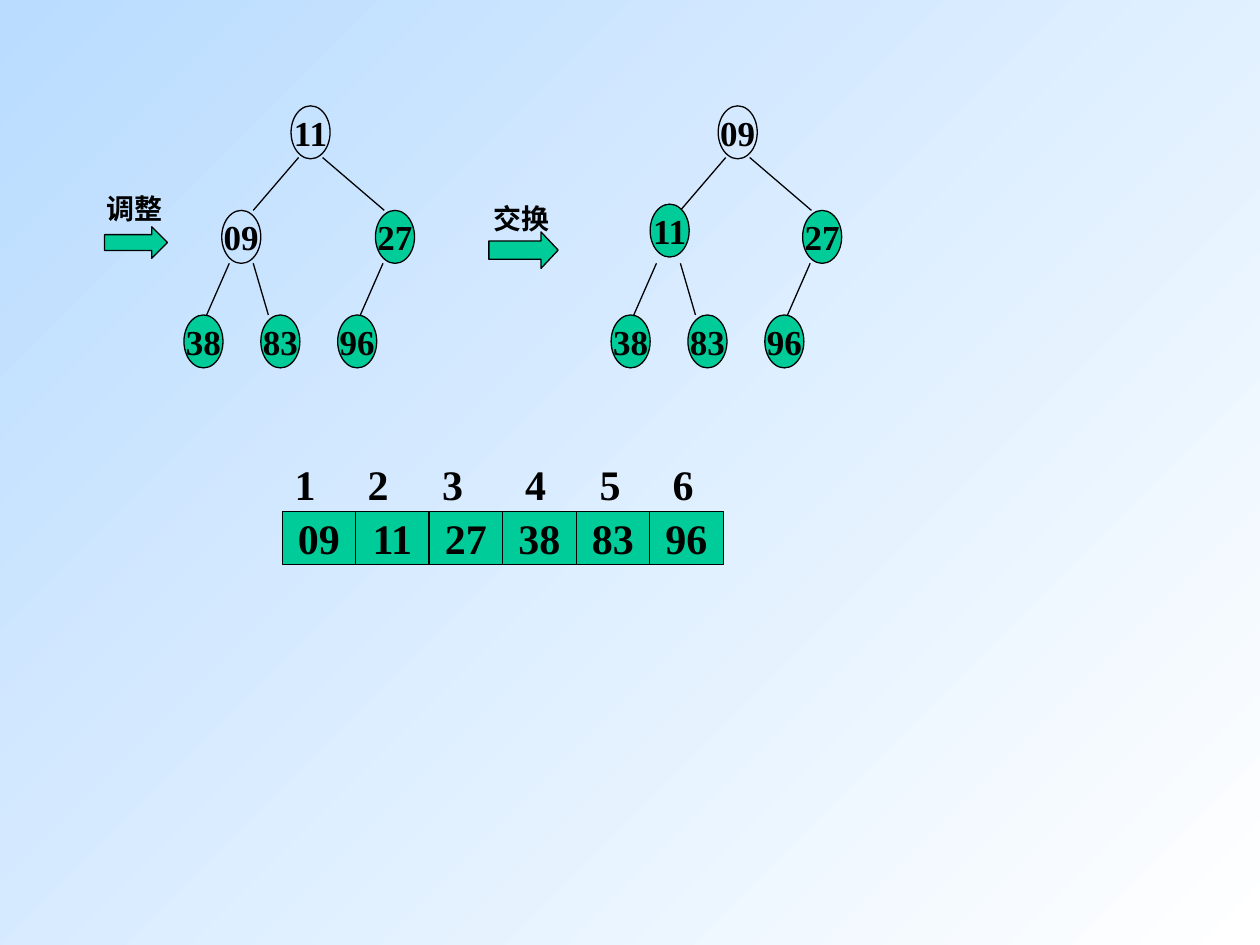
from dataclasses import dataclass
from typing import Any

from lxml import etree
from pptx import Presentation
from pptx.dml.color import RGBColor
from pptx.enum.shapes import MSO_CONNECTOR, MSO_SHAPE
from pptx.enum.text import MSO_ANCHOR, PP_ALIGN
from pptx.oxml.ns import qn
from pptx.util import Inches, Pt

OVAL, RECTANGLE, ARROW = MSO_SHAPE.OVAL, MSO_SHAPE.RECTANGLE, MSO_SHAPE.RIGHT_ARROW
STRAIGHT = MSO_CONNECTOR.STRAIGHT
MIDDLE, CENTER = MSO_ANCHOR.MIDDLE, PP_ALIGN.CENTER

BLACK = RGBColor(0x00, 0x00, 0x00)
GREEN = RGBColor(0x00, 0xCC, 0x99)
SKY = RGBColor(0xB9, 0xDC, 0xFF)
WHITE = RGBColor(0xFF, 0xFF, 0xFF)

NODE_PLACES = [(2.31, 0.84), (1.76, 1.67), (2.98, 1.67), (1.46, 2.5), (2.07, 2.5), (2.68, 2.5)]
EDGES = [
    (2.37, 1.25, 2.01, 1.67),
    (2.56, 1.25, 3.05, 1.67),
    (1.82, 2.09, 1.64, 2.5),
    (2.01, 2.09, 2.13, 2.5),
    (3.04, 2.09, 2.86, 2.5),
]
TREE_GAP = 3.39
CELL_LEFT, ARRAY_WIDTH = 2.24, 3.5
INDEX_TABS = [0.58, 1.17, 1.83, 2.42, 3.0]


@dataclass
class HeapSlide:
    """Style and drawing methods for the heap sort slide."""

    page: Any
    serif: str = "Times New Roman"
    sans: str = "Arial"
    line_width: float = 0.75

    def background(self):
        fill = self.page.background.fill
        fill.gradient()
        fill.gradient_angle = 315
        for stop, color, position in zip(fill.gradient_stops, (SKY, WHITE), (0, 1)):
            stop.color.rgb = color
            stop.position = position

    def set_text(self, frame, text, size, font, align=None, tabs=()):
        para = frame.paragraphs[0]
        para.text = text
        if tabs:
            tab_list = etree.SubElement(para._p.get_or_add_pPr(), qn("a:tabLst"))
            for tab in tabs:
                etree.SubElement(tab_list, qn("a:tab"), pos=str(Inches(tab)), algn="l")
        para.alignment = align
        para.font.name = font
        para.font.size = Pt(size)
        para.font.bold = True
        para.font.color.rgb = BLACK

    def shape(self, kind, left, top, width, height, fill=GREEN):
        shape = self.page.shapes.add_shape(
            kind, Inches(left), Inches(top), Inches(width), Inches(height)
        )
        shape.shadow.inherit = False
        if fill is None:
            shape.fill.background()
        else:
            shape.fill.solid()
            shape.fill.fore_color.rgb = fill
        shape.line.color.rgb = BLACK
        shape.line.width = Pt(self.line_width)
        return shape

    def value(self, kind, text, left, top, width, size, fill=GREEN):
        frame = self.shape(kind, left, top, width, 0.42, fill).text_frame
        frame.word_wrap = False
        frame.vertical_anchor = MIDDLE
        self.set_text(frame, text, size, self.serif, CENTER)

    def edge(self, x1, y1, x2, y2):
        line = self.page.shapes.add_connector(
            STRAIGHT, Inches(x1), Inches(y1), Inches(x2), Inches(y2)
        )
        line.line.color.rgb = BLACK
        line.line.width = Pt(self.line_width)
        etree.SubElement(line._element.spPr, qn("a:effectLst"))

    def label(self, text, left, top, width, height, size, font, tabs=()):
        box = self.page.shapes.add_textbox(
            Inches(left), Inches(top), Inches(width), Inches(height)
        )
        box.text_frame.word_wrap = True
        self.set_text(box.text_frame, text, size, font, tabs=tabs)

    def tree(self, values, places, unsorted, shift=0):
        for x1, y1, x2, y2 in EDGES:
            self.edge(x1 + shift, y1, x2 + shift, y2)
        for index, (text, (left, top)) in enumerate(zip(values, places)):
            fill = None if index < unsorted else GREEN
            self.value(OVAL, text, left + shift, top, 0.31, 20, fill)

    def step(self, text, text_place, arrow_place, ratio):
        arrow = self.shape(ARROW, *arrow_place)
        arrow.adjustments[1] = ratio
        self.label(text, *text_place, 16, self.sans)

    def array(self, values):
        cell_width = ARRAY_WIDTH / len(values)
        for index, text in enumerate(values):
            left = CELL_LEFT + index * cell_width
            self.value(RECTANGLE, text, left, 4.06, cell_width, 24)
        indexes = "\t".join(str(number) for number in range(1, len(values) + 1))
        self.label(indexes, CELL_LEFT, 3.59, ARRAY_WIDTH, 0.5, 24, self.serif, INDEX_TABS)


def main():
    deck = Presentation()
    deck.slide_width, deck.slide_height = Inches(10), Inches(7.5)
    slide = HeapSlide(deck.slides.add_slide(deck.slide_layouts[6]))
    slide.background()

    slide.tree(["11", "09", "27", "38", "83", "96"], NODE_PLACES, unsorted=2)
    swapped_places = [NODE_PLACES[0], (1.77, 1.62), *NODE_PLACES[2:]]
    swapped = ["09", "11", "27", "38", "83", "96"]
    slide.tree(swapped, swapped_places, unsorted=1, shift=TREE_GAP)

    slide.step("调整", (0.75, 1.47, 0.75, 0.37), (0.83, 1.8, 0.5, 0.25), 0.5)
    slide.step("交换", (3.82, 1.55, 0.67, 0.37), (3.88, 1.84, 0.55, 0.29), 0.47)
    slide.array(swapped)
    deck.save("out.pptx")


if __name__ == "__main__":
    main()
